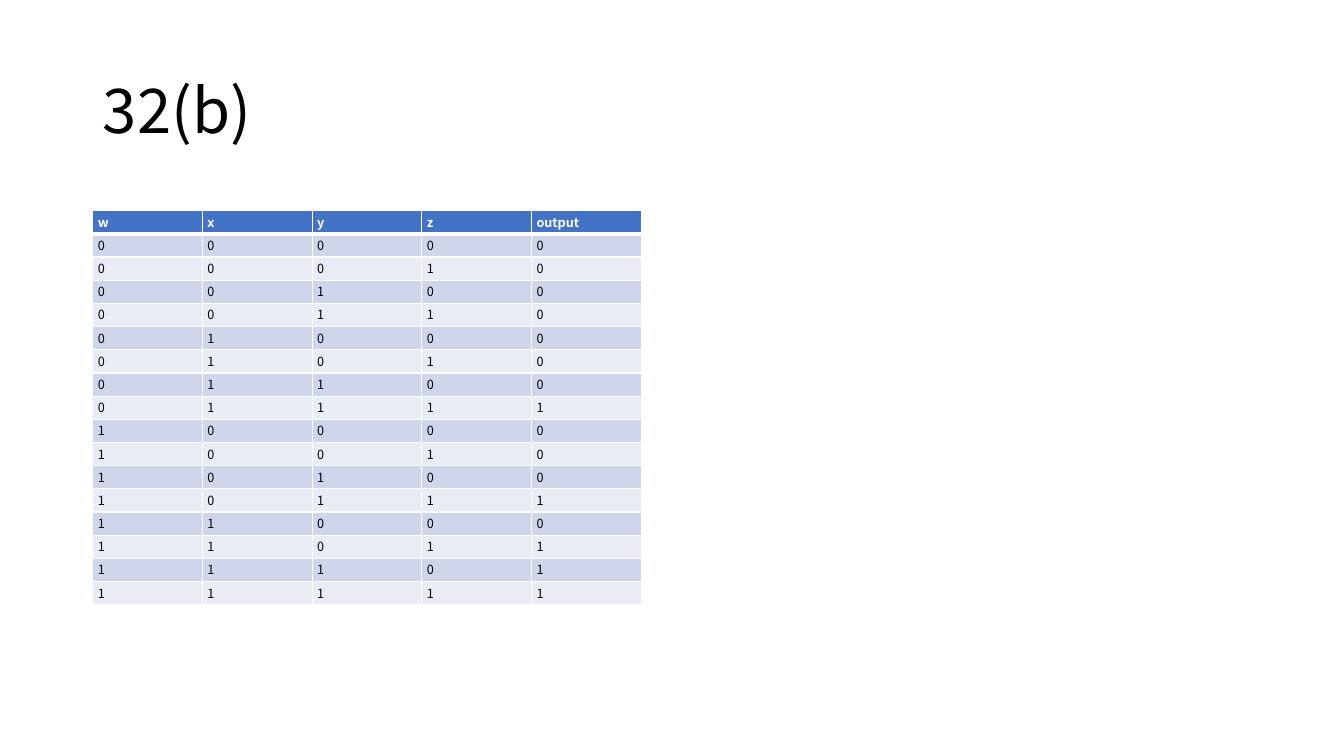
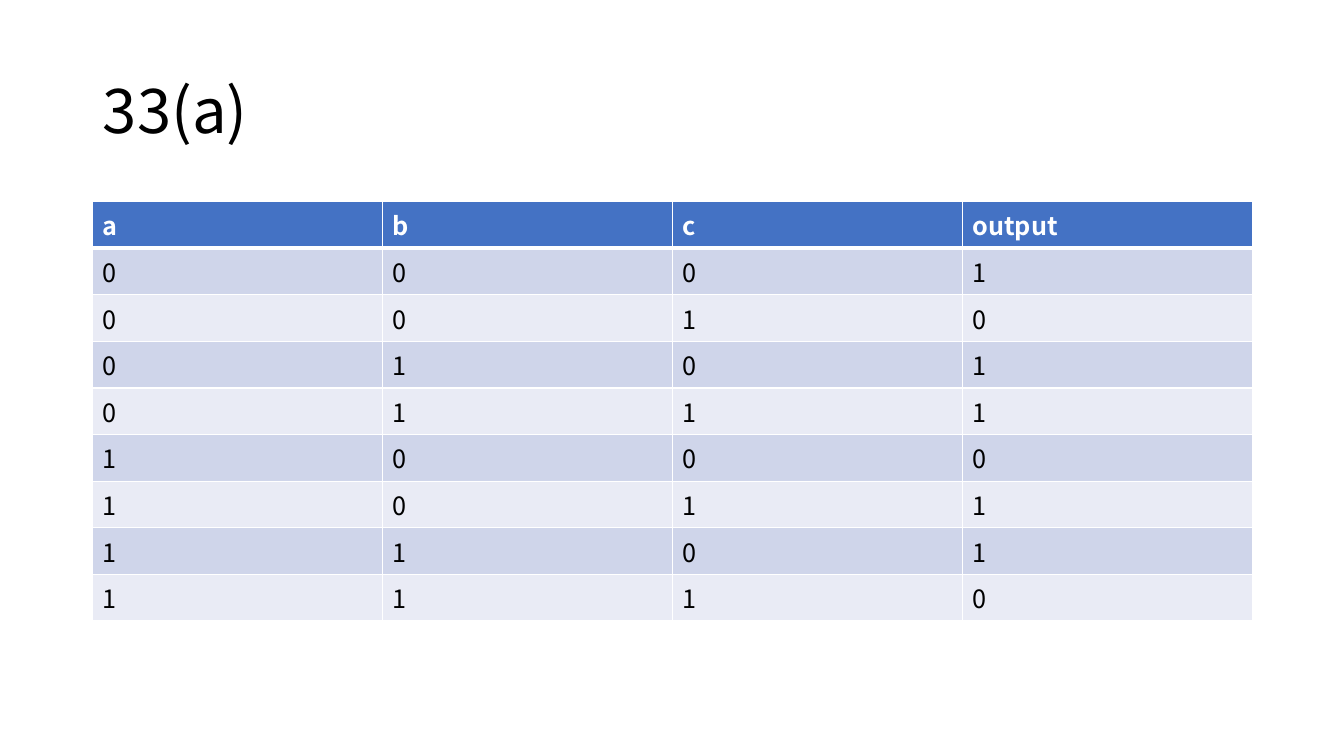
from dataclasses import dataclass
from itertools import product

from lxml import etree
from pptx import Presentation
from pptx.dml.color import RGBColor
from pptx.enum.text import MSO_ANCHOR, PP_ALIGN
from pptx.oxml.ns import qn
from pptx.util import Inches, Pt

LEFT = PP_ALIGN.LEFT
TOP = MSO_ANCHOR.TOP
MIDDLE = MSO_ANCHOR.MIDDLE
TITLE_ONLY = 5


@dataclass(frozen=True)
class Theme:
    """Colours, font, sizes and shared positions of the deck."""
    font: str = "Noto Sans CJK SC"
    text: str = "000000"
    white: str = "FFFFFF"
    header: str = "4472C4"
    bands: tuple = ("CFD5EA", "E9EBF5")
    title_size: int = 44
    table_size: int = 18
    small_table_size: int = 9
    border: int = 1
    header_border: int = 3
    left: float = 0.92
    width: float = 11.5


THEME = Theme()


def write_text(text_frame, text, *, size, color=THEME.text, bold=False, line_spacing=None):
    """Write one left-aligned paragraph in the deck's font."""
    paragraph = text_frame.paragraphs[0]
    paragraph.alignment = LEFT
    paragraph.line_spacing = line_spacing
    run = paragraph.add_run()
    run.text = text
    run.font.name = THEME.font
    run.font.size = Pt(size)
    run.font.bold = bold
    run.font.color.rgb = RGBColor.from_string(color)


def add_titled_slide(presentation, title_text):
    """Add a title-only slide with its title in place."""
    slide = presentation.slides.add_slide(presentation.slide_layouts[TITLE_ONLY])
    title = slide.shapes.title
    title.left, title.top = Inches(THEME.left), Inches(0.4)
    title.width, title.height = Inches(THEME.width), Inches(1.45)
    title.text_frame.vertical_anchor = MIDDLE
    write_text(title.text_frame, title_text, size=THEME.title_size, line_spacing=0.9)
    return slide


def set_borders(cell, *, top, bottom):
    """Draw white lines on the four sides of a cell."""
    properties = cell._tc.get_or_add_tcPr()
    widths = {"L": THEME.border, "R": THEME.border, "T": top, "B": bottom}
    for side, width in widths.items():
        line = etree.SubElement(properties, qn(f"a:ln{side}"), w=str(Pt(width)))
        fill = etree.SubElement(line, qn("a:solidFill"))
        etree.SubElement(fill, qn("a:srgbClr"), val=THEME.white)


def format_cell(cell, text, row_index, *, size, margins):
    """Style a cell as header or band according to its row."""
    is_header = row_index == 0
    set_borders(
        cell,
        top=THEME.header_border if row_index == 1 else THEME.border,
        bottom=THEME.header_border if is_header else THEME.border,
    )
    fill_color = THEME.header if is_header else THEME.bands[(row_index - 1) % 2]
    cell.fill.solid()
    cell.fill.fore_color.rgb = RGBColor.from_string(fill_color)
    cell.vertical_anchor = TOP
    cell.margin_left = cell.margin_right = Inches(margins[0])
    cell.margin_top = cell.margin_bottom = Inches(margins[1])
    write_text(cell.text_frame, text, size=size, bold=is_header,
               color=THEME.white if is_header else THEME.text)


def add_truth_table(slide, inputs, outputs, *, top, width, row_height, size, margins=(0.1, 0.05)):
    """Add every input combination in binary order with its output."""
    combinations = product("01", repeat=len(inputs))
    rows = [(*inputs, "output")]
    rows += [(*bits, output) for bits, output in zip(combinations, outputs)]
    frame = slide.shapes.add_table(
        len(rows), len(rows[0]), Inches(THEME.left), Inches(top),
        Inches(width), Inches(row_height * len(rows)),
    )
    for row_index, values in enumerate(rows):
        for column_index, value in enumerate(values):
            format_cell(frame.table.cell(row_index, column_index), value, row_index,
                        size=size, margins=margins)


def main():
    """Build and save the two truth-table slides."""
    presentation = Presentation()
    presentation.slide_width = Inches(13.33)
    presentation.slide_height = Inches(7.5)

    slide = add_titled_slide(presentation, "32(b)")
    add_truth_table(slide, "wxyz", "0000000100010111", top=2.09, width=5.44,
                    row_height=0.23, size=THEME.small_table_size, margins=(0.05, 0.02))

    slide = add_titled_slide(presentation, "33(a)")
    add_truth_table(slide, "abc", "10110110", top=2, width=THEME.width,
                    row_height=0.46, size=THEME.table_size)

    presentation.save("out.pptx")


if __name__ == "__main__":
    main()
